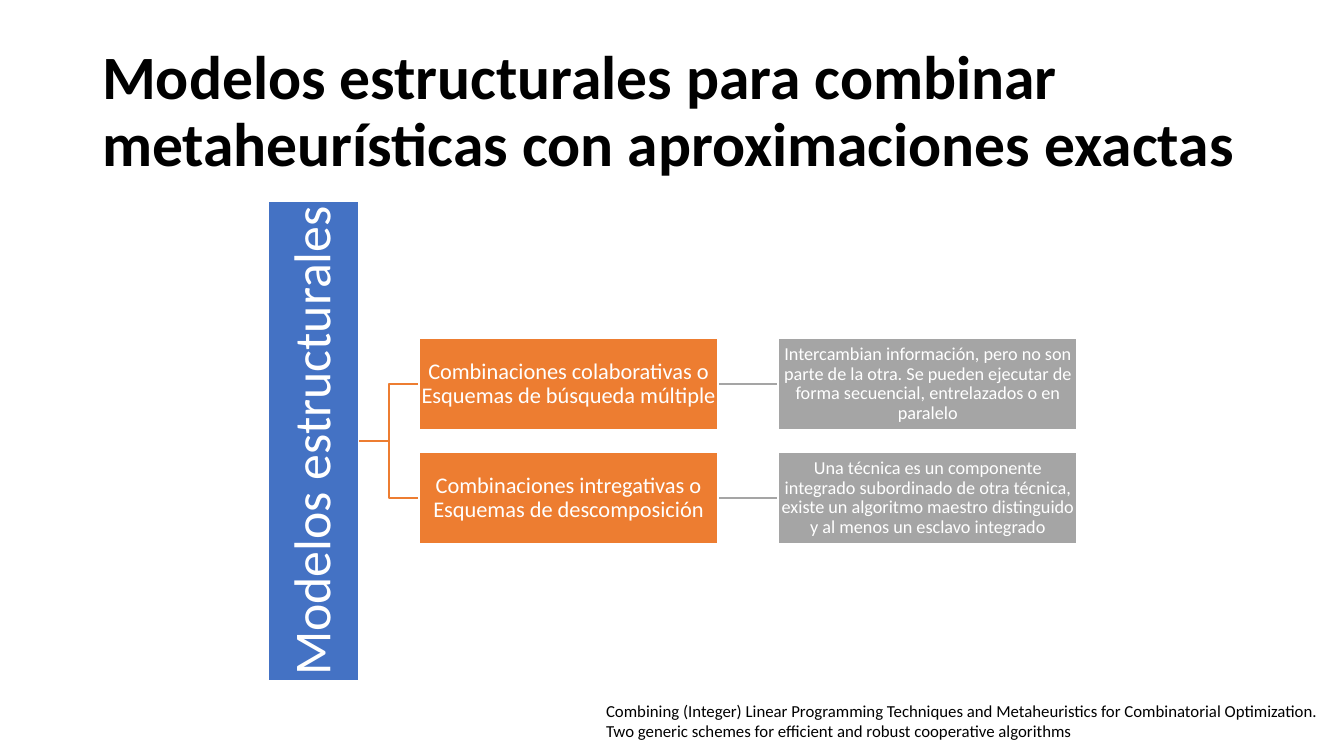
from lxml import etree
from pptx import Presentation
from pptx import util as u
from pptx.dml.color import RGBColor
from pptx.enum import shapes, text
from pptx.oxml.ns import qn

BLACK = RGBColor(0x00, 0x00, 0x00)
WHITE = RGBColor(0xFF, 0xFF, 0xFF)
BLUE = RGBColor(0x44, 0x72, 0xC4)
ORANGE = RGBColor(0xED, 0x7D, 0x31)
GREY = RGBColor(0xA5, 0xA5, 0xA5)

FONT = "Calibri"
SCALE = 914400 / 100.8  # EMU per pixel


def px(length):
    """Turn pixels into EMU."""
    return u.Emu(round(length * SCALE))


class Sketch:
    """Holds the current slide and the style shared by its elements."""

    def __init__(self, slide):
        """Keep the slide to draw on."""
        self.slide = slide

    def fill_text(self, frame, lines, size, color, bold=False,
                  align=text.PP_ALIGN.LEFT, spacing=1.0):
        """Fill a text frame with one paragraph per line."""
        frame.word_wrap = True
        frame.text = "\n".join(lines)
        for para in frame.paragraphs:
            para.alignment = align
            para.line_spacing = spacing
            font = para.font
            font.name, font.size, font.bold = FONT, u.Pt(size), bold
            font.color.rgb = color

    def title(self, left, top, width, height, wording):
        """Place and format the title placeholder."""
        title = self.slide.shapes.title
        title.left, title.top, title.width, title.height = map(px, (left, top, width, height))
        frame = title.text_frame
        frame.auto_size = text.MSO_AUTO_SIZE.NONE
        frame.vertical_anchor = text.MSO_ANCHOR.MIDDLE
        self.fill_text(frame, [wording], 44, BLACK, bold=True, spacing=0.9)

    def box(self, left, top, width, height, wording, size, fill, inset=1, rotation=0):
        """Draw a filled rectangle with centred white text."""
        box = self.slide.shapes.add_shape(
            shapes.MSO_SHAPE.RECTANGLE, *map(px, (left, top, width, height)))
        box.rotation = rotation
        box.shadow.inherit = False
        box.fill.solid()
        box.fill.fore_color.rgb = fill
        box.line.color.rgb = WHITE
        box.line.width = u.Pt(1)
        frame = box.text_frame
        frame.margin_left = frame.margin_right = px(inset)
        frame.margin_top = frame.margin_bottom = px(inset)
        frame.vertical_anchor = text.MSO_ANCHOR.MIDDLE
        self.fill_text(frame, [wording], size, WHITE, align=text.PP_ALIGN.CENTER, spacing=0.9)

    def link(self, kind, start, end, color):
        """Connect two points with a thin line."""
        link = self.slide.shapes.add_connector(kind, *map(px, start + end))
        link.line.color.rgb = color
        link.line.width = u.Pt(1)
        etree.SubElement(link._element.spPr, qn("a:effectLst"))

    def note(self, left, top, width, height, lines):
        """Add a small plain text box."""
        note = self.slide.shapes.add_textbox(*map(px, (left, top, width, height)))
        self.fill_text(note.text_frame, lines, 12, BLACK)


ROOT_LENGTH, BOX_HEIGHT, BOX_WIDTH = 480, 91, 299
ROOT_RIGHT, ROOT_MIDDLE = 359, 441
GAP = 60
MODEL_LEFT = ROOT_RIGHT + GAP
DETAIL_LEFT = MODEL_LEFT + BOX_WIDTH + GAP
FIRST_MIDDLE, ROW_STEP = 384, 114

MODELS = [
    ("Combinaciones colaborativas o Esquemas de búsqueda múltiple",
     "Intercambian información, pero no son parte de la otra. "
     "Se pueden ejecutar de forma secuencial, entrelazados o en paralelo"),
    ("Combinaciones intregativas o Esquemas de descomposición",
     "Una técnica es un componente integrado subordinado de otra técnica, "
     "existe un algoritmo maestro distinguido y al menos un esclavo integrado"),
]

deck = Presentation()
deck.slide_width, deck.slide_height = u.Inches(13.33), u.Inches(7.5)
sketch = Sketch(deck.slides.add_slide(deck.slide_layouts[5]))

sketch.title(92, 40, 1160, 146,
             "Modelos estructurales para combinar metaheurísticas con aproximaciones exactas")

# The root is laid out flat around its centre, then turned upright.
sketch.box(ROOT_RIGHT - (BOX_HEIGHT + ROOT_LENGTH) / 2, ROOT_MIDDLE - BOX_HEIGHT / 2,
           ROOT_LENGTH, BOX_HEIGHT, "Modelos estructurales", 37, BLUE, inset=3, rotation=270)

for row, (model, detail) in enumerate(MODELS):
    middle = FIRST_MIDDLE + row * ROW_STEP
    top = middle - BOX_HEIGHT / 2
    sketch.link(shapes.MSO_CONNECTOR.ELBOW, (ROOT_RIGHT, ROOT_MIDDLE), (MODEL_LEFT, middle), ORANGE)
    sketch.link(shapes.MSO_CONNECTOR.STRAIGHT,
                (MODEL_LEFT + BOX_WIDTH, middle), (DETAIL_LEFT, middle), GREY)
    sketch.box(MODEL_LEFT, top, BOX_WIDTH, BOX_HEIGHT, model, 16, ORANGE)
    sketch.box(DETAIL_LEFT, top, BOX_WIDTH, BOX_HEIGHT, detail, 13, GREY)

sketch.note(596, 696, 749, 50, [
    "Combining (Integer) Linear Programming Techniques and Metaheuristics "
    "for Combinatorial Optimization.",
    "Two generic schemes for efficient and robust cooperative algorithms",
])

deck.save("out.pptx")
